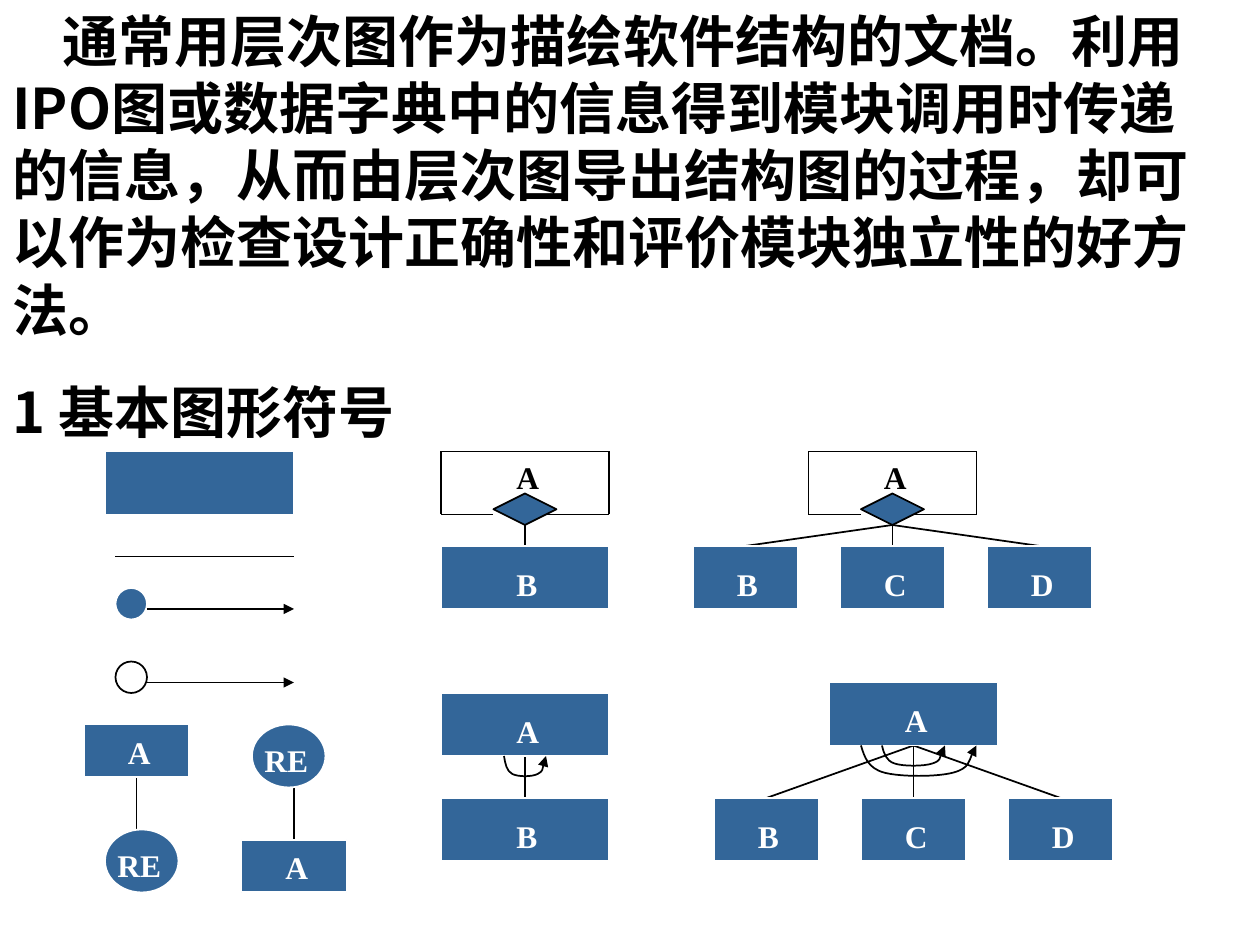
"""Build the slide on the basic symbols of structure charts."""
import lxml.etree
import pptx
import pptx.dml.color
import pptx.enum.shapes
import pptx.enum.text
import pptx.oxml.ns
import pptx.util

PX = 7620
WIDTH, HEIGHT = 1200, 900
COLOURS = {"blue": "336699", "white": "FFFFFF", "black": "000000"}
SHAPES = pptx.enum.shapes.MSO_SHAPE
LABEL_WIDTH, LABEL_HEIGHT = 70, 48

BODY = [
    "通常用层次图作为描绘软件结构的文档。利用IPO图或数据字典中的信息得到模块调用时传递的信息，"
    "从而由层次图导出结构图的过程，却可以作为检查设计正确性和评价模块独立性的好方法。",
    "1 基本图形符号",
]
BOXES = [
    ("", 100, 430, 180, 60),
    ("B", 420, 520, 160, 60),
    ("A", 420, 660, 160, 60),
    ("B", 420, 760, 160, 60),
    ("A", 790, 650, 160, 60),
    ("A", 80, 690, 100, 50),
    ("A", 230, 800, 100, 50),
]
TREES = [(660, 520, (850, 500)), (680, 760, (870, 710))]
CHILDREN, CHILD_STEP, CHILD_WIDTH = "BCD", 140, 100
RETURNS = [(100, 790), (240, 690)]
CHOICES = [420, 770]
FLOWS = [(560, "blue", "white"), (630, None, "black")]
LINKS = [
    (110, 530, 280, 530),
    (500, 500, 500, 520),
    (500, 720, 500, 760),
    (130, 740, 130, 790),
    (280, 750, 280, 800),
]
LOOPS = [(480, 720, 40, 20), (820, 710, 110, 30), (840, 710, 60, 20)]
LOOP_CURVE = [(0, 0), (0.03, 0.36), (0.06, 0.72), (0.2, 0.86), (0.34, 1),
              (0.66, 1), (0.8, 0.86), (0.94, 0.72), (0.97, 0.12), (1, 0)]


def rgb(name):
    return pptx.dml.color.RGBColor.from_string(COLOURS[name])


def scaled(*lengths):
    return [length * PX for length in lengths]


def style_line(line, colour="black", arrow=False):
    line.color.rgb = rgb(colour)
    line.width = pptx.util.Pt(1)
    if arrow:
        outline = line._get_or_add_ln()
        lxml.etree.SubElement(outline, pptx.oxml.ns.qn("a:tailEnd"), type="triangle")


def add_text(page, paragraphs, place, *, size, font, colour="black", indent=0, gap=0):
    box = page.shapes.add_textbox(*scaled(*place))
    frame = box.text_frame
    frame.word_wrap = True
    frame.auto_size = pptx.enum.text.MSO_AUTO_SIZE.SHAPE_TO_FIT_TEXT
    for index, words in enumerate(paragraphs):
        para = frame.add_paragraph() if index else frame.paragraphs[0]
        if index:
            para.space_before = pptx.util.Pt(gap)
        elif indent:
            para._p.get_or_add_pPr().set("indent", str(indent * PX))
        span = para.add_run()
        span.text = words
        span.font.size = pptx.util.Pt(size)
        span.font.bold = True
        span.font.name = font
        span.font.color.rgb = rgb(colour)
        properties = span._r.get_or_add_rPr()
        lxml.etree.SubElement(properties, pptx.oxml.ns.qn("a:ea"), typeface=font)


def add_label(page, words, left, top, colour="white"):
    add_text(page, [words], (left, top, LABEL_WIDTH, LABEL_HEIGHT),
             size=18, font="Times New Roman", colour=colour)


def add_symbol(page, kind, place, fill="blue", line="white"):
    shape = page.shapes.add_shape(kind, *scaled(*place))
    shape.shadow.inherit = False
    if fill:
        shape.fill.solid()
        shape.fill.fore_color.rgb = rgb(fill)
    else:
        shape.fill.background()
    style_line(shape.line, line)


def add_link(page, ends, arrow=False):
    link = page.shapes.add_connector(pptx.enum.shapes.MSO_CONNECTOR.STRAIGHT, *scaled(*ends))
    style_line(link.line, arrow=arrow)
    lxml.etree.SubElement(link._element.spPr, pptx.oxml.ns.qn("a:effectLst"))


def add_box(page, words, left, top, width, height):
    add_symbol(page, SHAPES.RECTANGLE, (left, top, width, height))
    if words:
        add_label(page, words, left + width // 2 - 20, top + height - LABEL_HEIGHT)


def add_tree(page, left, top, root):
    places = [(left + CHILD_STEP * index, name) for index, name in enumerate(CHILDREN)]
    for child, name in places:
        add_link(page, (*root, child + CHILD_WIDTH // 2, top))
    for child, name in places:
        add_box(page, name, child, top, CHILD_WIDTH, 60)


def add_choice(page, left):
    top, right, bottom = 430, left + 160, 490
    add_symbol(page, SHAPES.FLOWCHART_DECISION, (left + 50, 470, 60, 30), line="black")
    for ends in [(left, top, right, top), (left, top, left, bottom), (right, top, right, bottom),
                 (left, bottom, left + 50, bottom), (right - 60, bottom, right, bottom)]:
        add_link(page, ends)
    add_label(page, "A", left + 60, top, colour="black")


def add_loop(page, left, top, width, height):
    points = [scaled(left + x * width, top + y * height) for x, y in LOOP_CURVE]
    builder = page.shapes.build_freeform(*points[0])
    builder.add_line_segments(points[1:], close=False)
    shape = builder.convert_to_shape()
    shape.shadow.inherit = False
    shape.fill.background()
    style_line(shape.line, arrow=True)
    segments = list(shape._element.iter(pptx.oxml.ns.qn("a:lnTo")))
    outline = segments[0].getparent()
    for start in range(0, len(segments), 3):
        curve = lxml.etree.SubElement(outline, pptx.oxml.ns.qn("a:cubicBezTo"))
        for segment in segments[start:start + 3]:
            curve.append(segment[0])
            outline.remove(segment)


def main():
    deck = pptx.Presentation()
    deck.slide_width, deck.slide_height = scaled(WIDTH, HEIGHT)
    page = deck.slides.add_slide(deck.slide_layouts[6])
    for ends in LINKS:
        add_link(page, ends)
    for left in CHOICES:
        add_choice(page, left)
    for tree in TREES:
        add_tree(page, *tree)
    for box in BOXES:
        add_box(page, *box)
    for top, fill, line in FLOWS:
        add_symbol(page, SHAPES.OVAL, (110, top, 30, 30), fill, line)
        add_link(page, (140, top + 20, 280, top + 20), arrow=True)
    for left, top in RETURNS:
        add_symbol(page, SHAPES.OVAL, (left, top, 70, 60))
        add_label(page, "RE", left, top + 10)
    for loop in LOOPS:
        add_loop(page, *loop)
    add_text(page, BODY, (0, 0, 1170, 430), size=32, font="Noto Sans CJK SC", indent=48, gap=20)
    deck.save("out.pptx")


if __name__ == "__main__":
    main()
